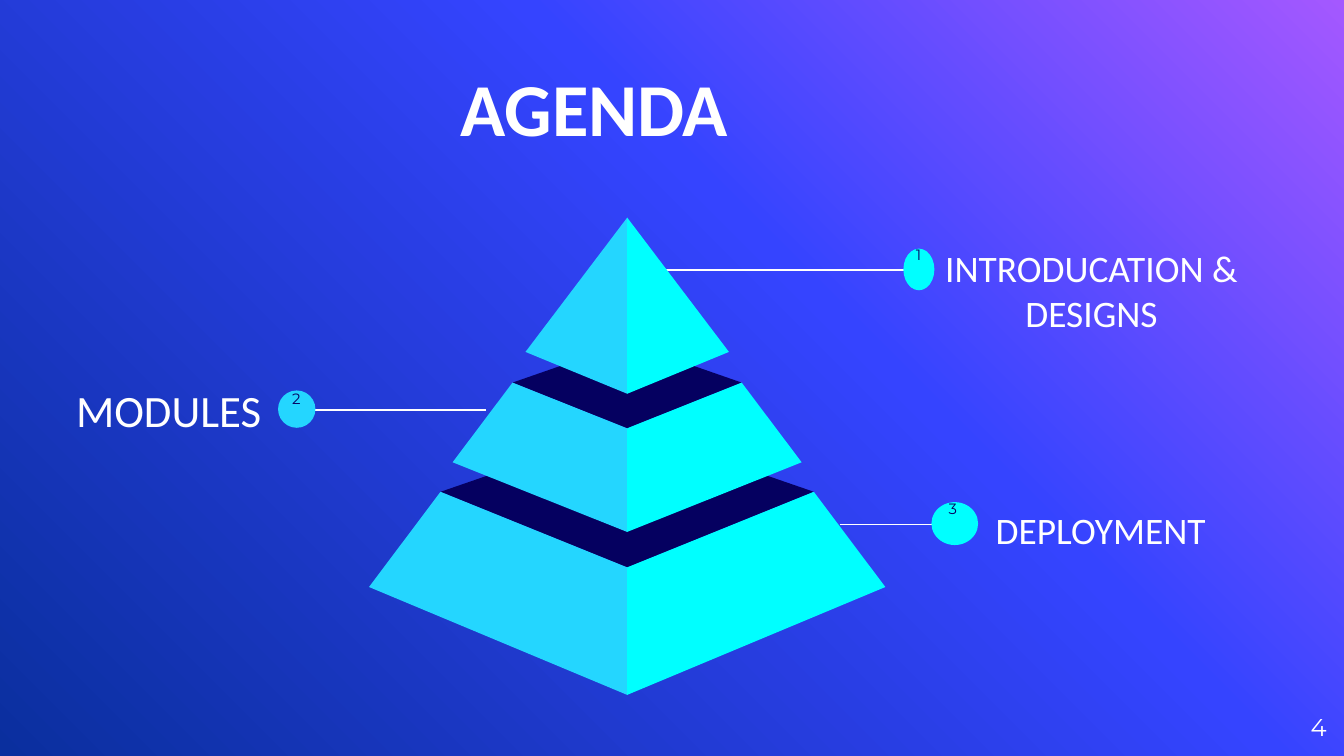
from copy import deepcopy

from lxml import etree
from pptx import Presentation
from pptx.dml.color import RGBColor
from pptx.enum.shapes import MSO_CONNECTOR, MSO_SHAPE
from pptx.enum.text import MSO_ANCHOR, PP_ALIGN
from pptx.oxml.ns import qn
from pptx.util import Pt

LEFT, CENTER, RIGHT = PP_ALIGN.LEFT, PP_ALIGN.CENTER, PP_ALIGN.RIGHT
TOP, MIDDLE, BOTTOM = MSO_ANCHOR.TOP, MSO_ANCHOR.MIDDLE, MSO_ANCHOR.BOTTOM
STRAIGHT, ELLIPSE = MSO_CONNECTOR.STRAIGHT, MSO_SHAPE.OVAL

COLORS = {
    "white": "FFFFFF", "navy": "050060", "sky": "24D6FF", "cyan": "00FFFF",
    "violet": "A458FF", "blue": "3544FF", "deep": "0A2F9E",
}
BODY_FONT, NUMBER_FONT = "Calibri", "Montserrat"
AXIS = 336  # vertical centre line of the pyramid

# Boxes are left, top, width, height; lines are start x, end x, y
AGENDA_ITEMS = [
    {"number": "3", "text": "DEPLOYMENT", "size": 20, "align": LEFT, "color": "cyan",
     "line": (450, 523.5, 281), "label": (526.3, 209.5, 234, 148.3),
     "dot": (499, 269, 25, 23), "number_box": (495.4, 262.8, 30.2, 39.6)},
    {"number": "2", "text": "MODULES", "size": 24, "align": RIGHT, "color": "sky",
     "line": (260.5, 155.5, 219.6), "label": (-41, 150.5, 188, 138.2),
     "dot": (149, 209.2, 20, 20), "number_box": (146.2, 203.8, 25.2, 31)},
    {"number": "1", "text": "INTRODUCATION & DESIGNS", "size": 20, "align": CENTER,
     "color": "cyan",
     "line": (356.4, 500.4, 144.6), "label": (489, 56.2, 191.5, 198.7),
     "dot": (484, 133.2, 16.6, 22.3), "number_box": (481.7, 126.7, 20.9, 35.3)},
]

# Half widths and heights of each tier, from the base up
TIERS = [
    {"back": 229, "edge": (100, 263.5), "front": 304, "base": (138.3, 314.5), "tip": 372.3},
    {"back": 183.6, "edge": (61.4, 205), "front": 229.5, "base": (93.5, 247.7), "tip": 285},
    {"back": None, "edge": None, "front": 116.6, "base": (54.5, 188.6), "tip": 211},
]


def rgb(name):
    return RGBColor.from_string(COLORS[name])


def paint_background(slide):
    fill = slide.background.fill
    fill.gradient()
    fill.gradient_angle = 225
    stops = fill._fill._gradFill.gsLst
    stops.insert(1, deepcopy(stops[0]))
    colors = ("violet", "blue", "deep")
    for stop, color, position in zip(fill.gradient_stops, colors, (0, 0.39, 1)):
        stop.color.rgb = rgb(color)
        stop.position = position


def add_text(slide, box, text, size, font=BODY_FONT, color="white", align=CENTER,
             anchor=MIDDLE, inset=7.2, bold=False):
    frame = slide.shapes.add_textbox(*map(Pt, box)).text_frame
    frame.word_wrap = True
    frame.vertical_anchor = anchor
    frame.margin_left = frame.margin_right = Pt(inset)
    frame.margin_top = frame.margin_bottom = Pt(inset)
    frame.text = text
    paragraph = frame.paragraphs[0]
    paragraph.alignment = align
    style = paragraph.runs[0].font
    style.name, style.size, style.bold = font, Pt(size), bold
    style.color.rgb = rgb(color)


def fill_plain(shape, color):
    shape.shadow.inherit = False
    shape.fill.solid()
    shape.fill.fore_color.rgb = rgb(color)
    shape.line.fill.background()


def add_leader(slide, start, end, y):
    leader = slide.shapes.add_connector(STRAIGHT, Pt(start), Pt(y), Pt(end), Pt(y))
    leader.line.color.rgb = rgb("white")
    leader.line.width = Pt(0.75)
    etree.SubElement(leader._element.spPr, qn("a:effectLst"))


def add_agenda_item(slide, item):
    add_leader(slide, *item["line"])
    add_text(slide, item["label"], item["text"], item["size"], align=item["align"])
    dot = slide.shapes.add_shape(ELLIPSE, *map(Pt, item["dot"]))
    fill_plain(dot, item["color"])
    add_text(slide, item["number_box"], item["number"], 8, NUMBER_FONT, "navy", anchor=TOP)


def add_face(slide, points, color):
    corners = [(Pt(AXIS + x), Pt(y)) for x, y in points]
    builder = slide.shapes.build_freeform(*corners[0])
    builder.add_line_segments(corners[1:], close=True)
    fill_plain(builder.convert_to_shape(), color)


def add_tier(slide, tier):
    front, tip = (0, tier["front"]), (0, tier["tip"])
    base_x, base_y = tier["base"]
    if tier["edge"]:
        edge_x, edge_y = tier["edge"]
        top = [(-edge_x, edge_y), front, (edge_x, edge_y), (0, tier["back"])]
        add_face(slide, top, "navy")
    for side, color in ((-1, "sky"), (1, "cyan")):
        face = [front, tip, (side * base_x, base_y)]
        if tier["edge"]:
            face.append((side * edge_x, edge_y))
        add_face(slide, face, color)


def main():
    presentation = Presentation()
    presentation.slide_width, presentation.slide_height = Pt(720), Pt(405)
    slide = presentation.slides.add_slide(presentation.slide_layouts[6])
    paint_background(slide)

    # Title and page number
    add_text(slide, (81.4, 13.7, 473.8, 67.7), "AGENDA", 40, anchor=BOTTOM,
             inset=0, bold=True)
    add_text(slide, (667.5, 373.7, 43.2, 31), "4", 13, NUMBER_FONT, align=RIGHT, inset=0)

    # Numbered agenda items with leader lines
    for item in AGENDA_ITEMS:
        add_agenda_item(slide, item)

    # Pyramid
    for tier in TIERS:
        add_tier(slide, tier)

    presentation.save("out.pptx")


if __name__ == "__main__":
    main()
